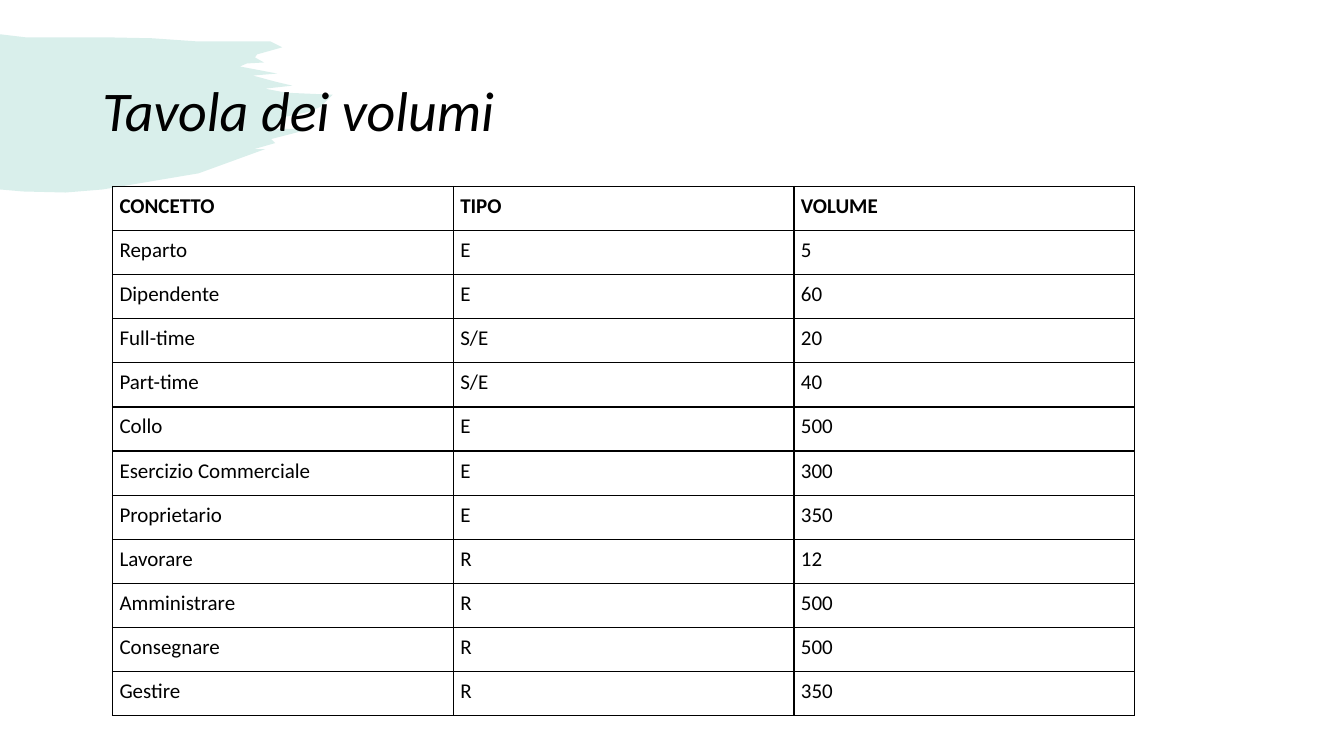
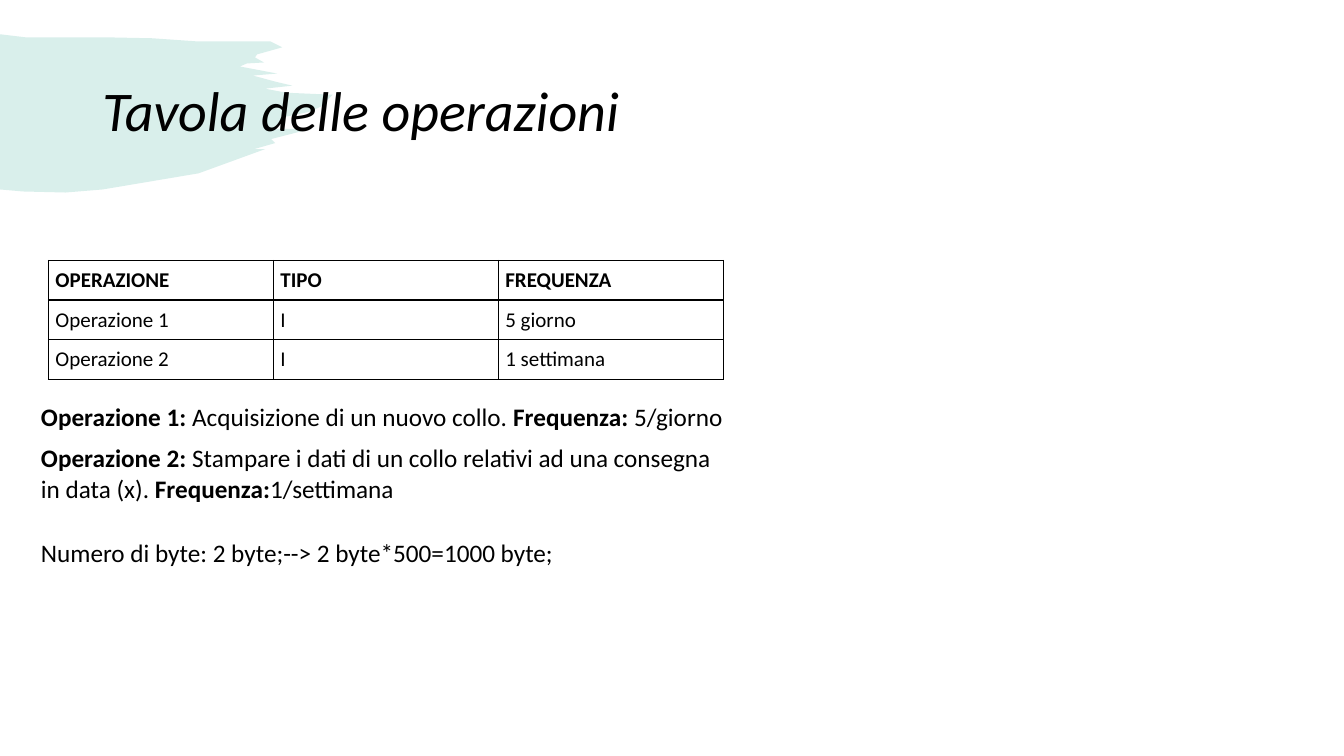
from dataclasses import dataclass
from typing import Any

from lxml import etree
from pptx import Presentation
from pptx.dml.color import RGBColor
from pptx.enum import text as txt
from pptx.oxml import ns
from pptx.util import Pt

FONT = "Calibri"
INK = "000000"
BRUSH = "45B19E"
BRUSH_OPACITY = 20
TITLE_SIZE, BODY_SIZE, CELL_SIZE = 40, 18, 15
CELL_MARGIN = 5
BORDER_WIDTH = 1

# Corners of the brush stroke, on a grid of 0.72 pt.
BRUSH_UNIT = 0.72
BRUSH_CORNERS = [
    (0, 34), (25, 37), (102, 37), (151, 38), (194, 41), (248, 41), (268, 41), (280, 47),
    (255, 54), (253, 57), (262, 62), (245, 63), (238, 66), (275, 73), (251, 75), (273, 81),
    (290, 85), (263, 88), (284, 92), (330, 94), (318, 106), (307, 111), (283, 116),
    (274, 128), (308, 128), (269, 138), (273, 142), (252, 148), (263, 148), (197, 172),
    (102, 188), (65, 191), (23, 190), (0, 188),
]


@dataclass(frozen=True)
class Run:
    """A stretch of text in one style."""
    words: str
    bold: bool = False
    italic: bool = False
    size: float = BODY_SIZE


@dataclass(frozen=True)
class Box:
    """A place on the slide, in points."""
    left: float
    top: float
    width: float
    height: float


@dataclass(frozen=True)
class Grid:
    """A table with a bold heading row and equal columns and rows."""
    left: float
    top: float
    column_width: float
    row_height: float
    rows: list[tuple[str, ...]]


TITLE_BOX = Box(66, 28.8, 828, 104.4)

VOLUMES = Grid(80.4, 133.2, 243.4, 31.5, [
    ("CONCETTO", "TIPO", "VOLUME"),
    ("Reparto", "E", "5"),
    ("Dipendente", "E", "60"),
    ("Full-time", "S/E", "20"),
    ("Part-time", "S/E", "40"),
    ("Collo", "E", "500"),
    ("Esercizio Commerciale", "E", "300"),
    ("Proprietario", "E", "350"),
    ("Lavorare", "R", "12"),
    ("Amministrare", "R", "500"),
    ("Consegnare", "R", "500"),
    ("Gestire", "R", "350"),
])

OPERATIONS = Grid(34.6, 186, 160.7, 28.3, [
    ("OPERAZIONE", "TIPO", "FREQUENZA"),
    ("Operazione 1", "I", "5 giorno"),
    ("Operazione 2", "I", "1 settimana"),
])

OPERATION_DETAILS = [
    [Run("Operazione 1: ", bold=True), Run("Acquisizione di un nuovo collo. "),
     Run("Frequenza:", bold=True), Run(" 5/giorno")],
    [Run("Operazione 2: ", bold=True),
     Run("Stampare i dati di un collo relativi ad una consegna in data (x). "),
     Run("Frequenza:", bold=True), Run("1/settimana")],
]
BYTE_COUNT = [[Run("Numero di byte: 2 byte;--> 2 byte*500=1000 byte;")]]


def color(hex_code: str) -> RGBColor:
    """Turn a hex string into a colour."""
    return RGBColor.from_string(hex_code)


def add_runs(paragraph: Any, runs: list[Run]) -> None:
    """Append styled runs to a paragraph."""
    for run in runs:
        piece = paragraph.add_run()
        piece.text = run.words
        font = piece.font
        font.name, font.size = FONT, Pt(run.size)
        font.bold, font.italic = run.bold, run.italic
        font.color.rgb = color(INK)


def add_text(slide: Any, box: Box, paragraphs: list[list[Run]], gap: float = 0) -> Any:
    """Add wrapped text with a gap between paragraphs; return its frame."""
    frame = slide.shapes.add_textbox(
        Pt(box.left), Pt(box.top), Pt(box.width), Pt(box.height)).text_frame
    frame.word_wrap = True
    for index, runs in enumerate(paragraphs):
        paragraph = frame.add_paragraph() if index else frame.paragraphs[0]
        if index:
            paragraph.space_before = Pt(gap)
        add_runs(paragraph, runs)
    return frame


def add_brush(slide: Any) -> None:
    """Draw the translucent brush stroke behind the title."""
    start, *rest = [(Pt(x * BRUSH_UNIT), Pt(y * BRUSH_UNIT)) for x, y in BRUSH_CORNERS]
    builder = slide.shapes.build_freeform(*start)
    builder.add_line_segments(rest, close=True)
    stroke = builder.convert_to_shape()
    stroke.shadow.inherit = False
    stroke.line.fill.background()
    stroke.fill.solid()
    stroke.fill.fore_color.rgb = color(BRUSH)
    tint = stroke.fill._xPr.find(ns.qn("a:solidFill"))[0]
    etree.SubElement(tint, ns.qn("a:alpha"), val=str(BRUSH_OPACITY * 1000))


def add_borders(cell: Any) -> None:
    """Give a cell a solid line on all four sides."""
    properties = cell._tc.get_or_add_tcPr()
    for index, side in enumerate(("lnL", "lnR", "lnT", "lnB")):
        line = etree.Element(ns.qn(f"a:{side}"), w=str(Pt(BORDER_WIDTH)))
        fill = etree.SubElement(line, ns.qn("a:solidFill"))
        etree.SubElement(fill, ns.qn("a:srgbClr"), val=INK)
        properties.insert(index, line)


def add_grid(slide: Any, grid: Grid) -> None:
    """Add a bordered table without fills."""
    row_count, column_count = len(grid.rows), len(grid.rows[0])
    table = slide.shapes.add_table(
        row_count, column_count, Pt(grid.left), Pt(grid.top),
        Pt(grid.column_width * column_count), Pt(grid.row_height * row_count)).table
    table.first_row = table.horz_banding = False
    for row_index, row in enumerate(grid.rows):
        for column_index, words in enumerate(row):
            cell = table.cell(row_index, column_index)
            cell.margin_left = cell.margin_right = Pt(CELL_MARGIN)
            cell.margin_top = cell.margin_bottom = Pt(CELL_MARGIN)
            cell.fill.background()
            add_borders(cell)
            add_runs(cell.text_frame.paragraphs[0],
                     [Run(words, bold=row_index == 0, size=CELL_SIZE)])


def add_titled_slide(deck: Any, title: str) -> Any:
    """Add a blank slide with the brush stroke and its title."""
    slide = deck.slides.add_slide(deck.slide_layouts[6])
    add_brush(slide)
    frame = add_text(slide, TITLE_BOX, [[Run(title, italic=True, size=TITLE_SIZE)]])
    frame.vertical_anchor = txt.MSO_ANCHOR.MIDDLE
    frame.paragraphs[0].line_spacing = 0.9
    return slide


def main() -> None:
    """Build and save the presentation."""
    deck = Presentation()
    deck.slide_width, deck.slide_height = Pt(960), Pt(540)

    add_grid(add_titled_slide(deck, "Tavola dei volumi"), VOLUMES)

    operations = add_titled_slide(deck, "Tavola delle operazioni")
    add_grid(operations, OPERATIONS)
    add_text(operations, Box(22.2, 283, 507.6, 80.6), OPERATION_DETAILS, gap=8)
    add_text(operations, Box(22.2, 380.2, 497.5, 28.8), BYTE_COUNT)

    deck.save("out.pptx")


main()
